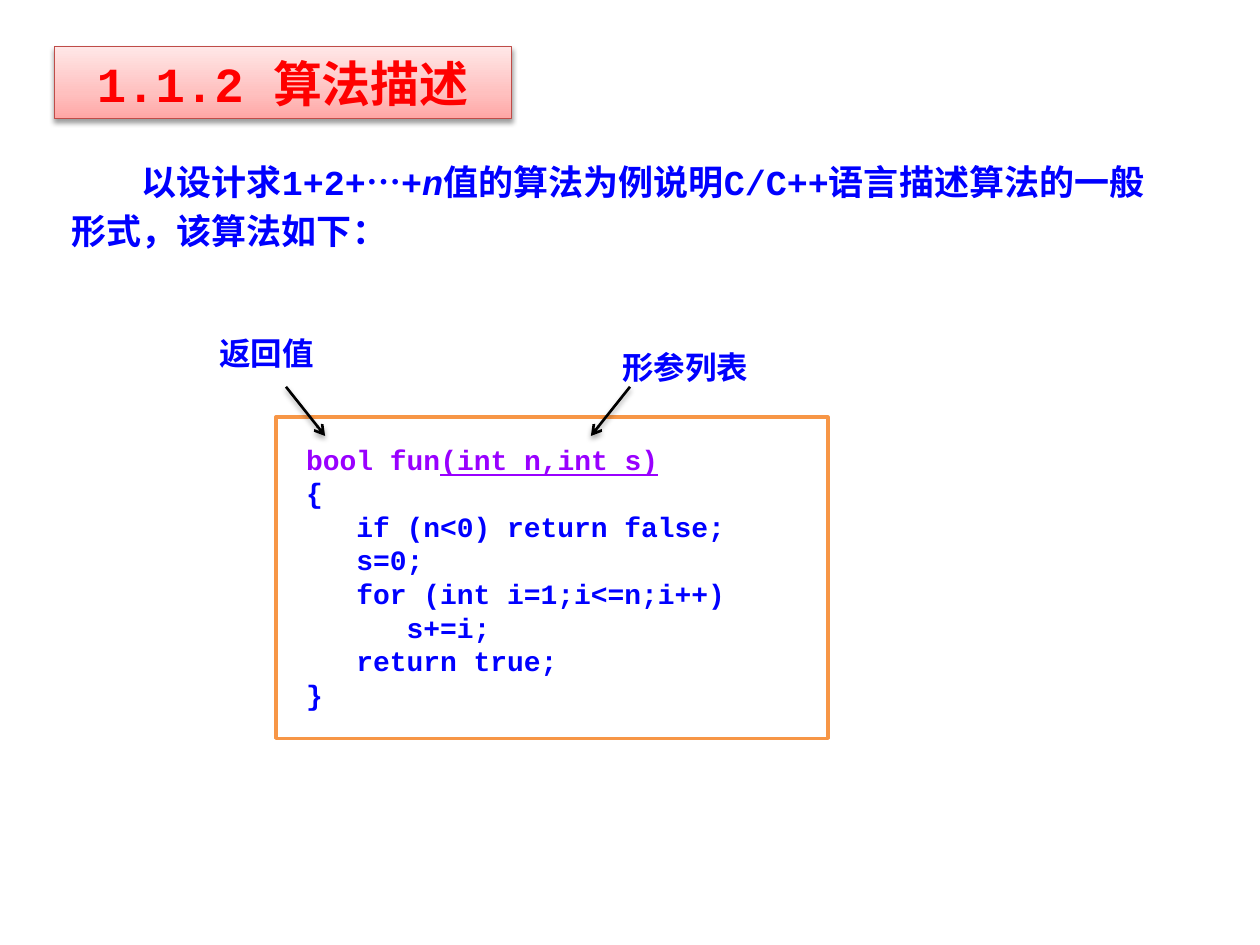
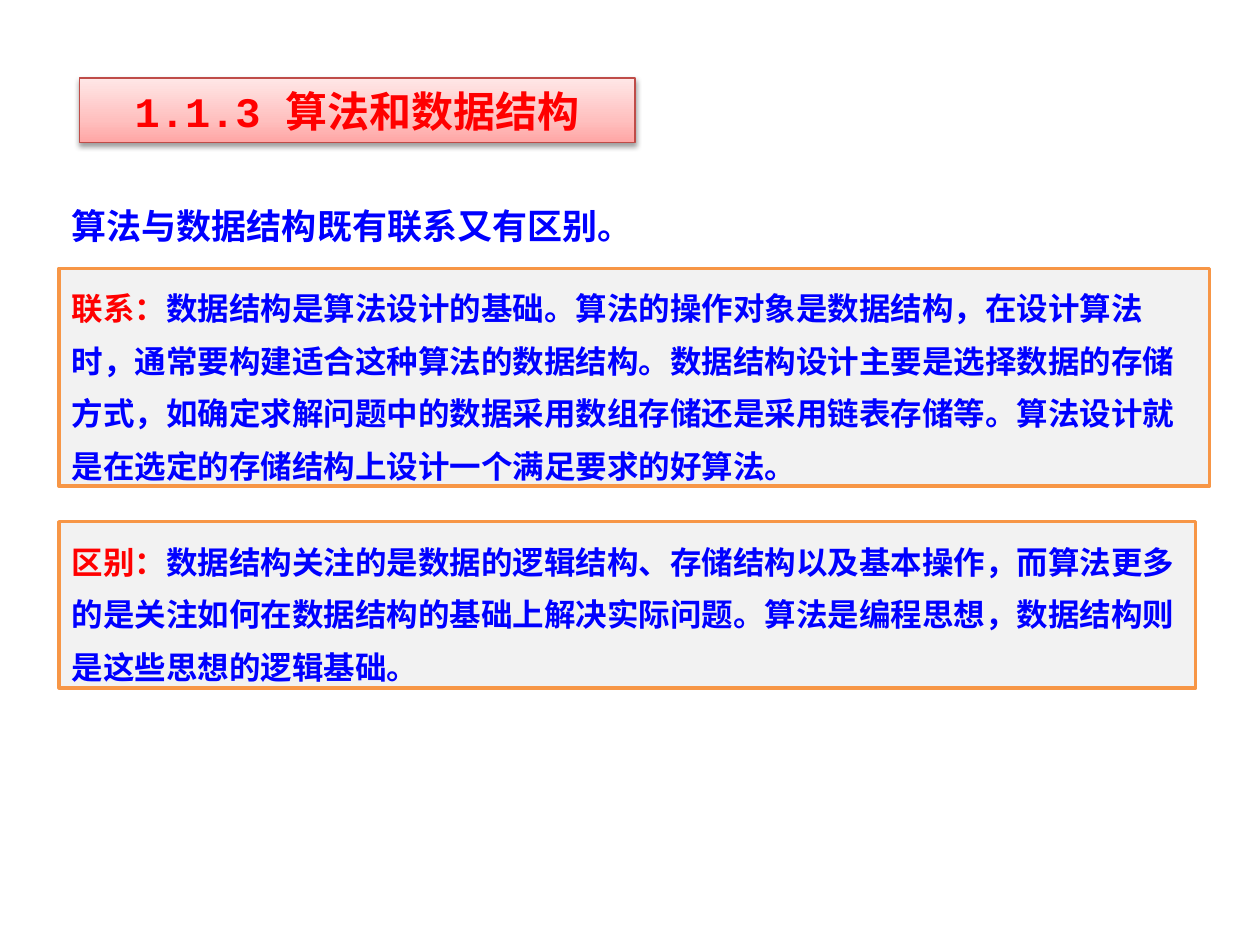
"""Build two slides on describing algorithms and on algorithms versus data structures."""
import copy

import lxml.etree
import pptx
import pptx.dml.color
import pptx.enum.shapes
import pptx.enum.text
import pptx.oxml.ns
import pptx.util

Inches = pptx.util.Inches
Pt = pptx.util.Pt
qn = pptx.oxml.ns.qn

RED, BLUE, PURPLE, BLACK = "FF0000", "0000FF", "9900FF", "000000"
WHITE, GREY, ORANGE = "FFFFFF", "F2F2F2", "F79646"
TITLE_LINE = "BF4C48"
TITLE_GRADIENT = ((0, "FFA6A5"), (0.35, "FFC0BF"), (1, "FFE7E7"))
CODE_FONT, SERIF_FONT, CHINESE_FONT = "Courier New", "Times New Roman", "Noto Sans CJK SC"

CODE_BODY = (
    "{",
    "   if (n<0) return false;",
    "   s=0;",
    "   for (int i=1;i<=n;i++)",
    "      s+=i;",
    "   return true;",
    "}",
)
CONNECTION = (
    "数据结构是算法设计的基础。算法的操作对象是数据结构，在设计算法时，"
    "通常要构建适合这种算法的数据结构。数据结构设计主要是选择数据的存储方式，"
    "如确定求解问题中的数据采用数组存储还是采用链表存储等。"
    "算法设计就是在选定的存储结构上设计一个满足要求的好算法。"
)
DIFFERENCE = (
    "数据结构关注的是数据的逻辑结构、存储结构以及基本操作，"
    "而算法更多的是关注如何在数据结构的基础上解决实际问题。"
    "算法是编程思想，数据结构则是这些思想的逻辑基础。"
)


def rgb(value):
    return pptx.dml.color.RGBColor.from_string(value)


def add_shadow(shape, distance, opacity):
    shape_properties = shape._element.spPr
    effects = lxml.etree.SubElement(shape_properties, qn("a:effectLst"))
    shadow = lxml.etree.SubElement(
        effects, qn("a:outerShdw"), blurRad=str(Pt(3.1)), dist=str(Pt(distance)),
        dir="5400000", rotWithShape="0")
    color = lxml.etree.SubElement(shadow, qn("a:srgbClr"), val=BLACK)
    lxml.etree.SubElement(color, qn("a:alpha"), val=str(opacity * 1000))


def fill_title_gradient(shape):
    shape.fill.gradient()
    shape.fill.gradient_angle = 90
    stop_list = shape._element.spPr.find(qn("a:gradFill")).find(qn("a:gsLst"))
    stop_list.append(copy.deepcopy(stop_list[0]))
    for stop, (position, color) in zip(shape.fill.gradient_stops, TITLE_GRADIENT):
        stop.position = position
        stop.color.rgb = rgb(color)


def set_line(shape, color, width):
    shape.line.color.rgb = rgb(color)
    shape.line.width = Pt(width)


def format_paragraph(paragraph, size, color, font=CODE_FONT):
    paragraph.font.name = font
    paragraph.font.size = Pt(size)
    paragraph.font.bold = True
    paragraph.font.color.rgb = rgb(color)
    defaults = paragraph._p.pPr.find(qn("a:defRPr"))
    lxml.etree.SubElement(defaults, qn("a:ea"), typeface=CHINESE_FONT)


def add_run(paragraph, text):
    run = paragraph.add_run()
    run.text = text
    return run


def prepare_frame(shape, anchor=pptx.enum.text.MSO_ANCHOR.TOP):
    frame = shape.text_frame
    frame.word_wrap = True
    frame.auto_size = pptx.enum.text.MSO_AUTO_SIZE.NONE
    frame.vertical_anchor = anchor
    return frame


def add_title_slide(presentation, text, box, size):
    slide = presentation.slides.add_slide(presentation.slide_layouts[5])
    title = slide.shapes.title
    title.left, title.top, title.width, title.height = map(Inches, box)
    fill_title_gradient(title)
    set_line(title, TITLE_LINE, 0.75)
    add_shadow(title, 1.6, 38)
    frame = prepare_frame(title, pptx.enum.text.MSO_ANCHOR.MIDDLE)
    paragraph = frame.paragraphs[0]
    paragraph.alignment = pptx.enum.text.PP_ALIGN.CENTER
    add_run(paragraph, text)
    format_paragraph(paragraph, size, RED)
    return slide


def add_text(slide, box, size, *texts, font=CODE_FONT):
    textbox = slide.shapes.add_textbox(*map(Inches, box))
    paragraph = prepare_frame(textbox).paragraphs[0]
    runs = [add_run(paragraph, text) for text in texts]
    format_paragraph(paragraph, size, BLUE, font)
    return paragraph, runs


def add_panel(slide, box, fill):
    panel = slide.shapes.add_shape(
        pptx.enum.shapes.MSO_SHAPE.RECTANGLE, *map(Inches, box))
    panel.shadow.inherit = False
    panel.fill.solid()
    panel.fill.fore_color.rgb = rgb(fill)
    set_line(panel, ORANGE, 2)
    return prepare_frame(panel)


def add_code(slide, box):
    frame = add_panel(slide, box, WHITE)
    frame.margin_left = Inches(0.24)
    frame.margin_top = frame.margin_bottom = Inches(0.2)
    signature = frame.paragraphs[0]
    add_run(signature, "bool fun")
    add_run(signature, "(int n,int s)").font.underline = True
    body = [frame.add_paragraph() for _ in CODE_BODY]
    for paragraph, line in zip(body, CODE_BODY):
        add_run(paragraph, line)
    for paragraph in (signature, *body):
        paragraph.alignment = pptx.enum.text.PP_ALIGN.LEFT
        format_paragraph(paragraph, 16, PURPLE if paragraph is signature else BLUE)


def add_arrow(slide, start, end):
    arrow = slide.shapes.add_connector(
        pptx.enum.shapes.MSO_CONNECTOR.STRAIGHT, *map(Inches, start + end))
    set_line(arrow, BLACK, 1.5)
    lxml.etree.SubElement(
        arrow._element.spPr.find(qn("a:ln")), qn("a:tailEnd"), type="arrow")
    add_shadow(arrow, 1.8, 35)


def add_explanation(slide, box, label, text):
    paragraph = add_panel(slide, box, GREY).paragraphs[0]
    paragraph.alignment = pptx.enum.text.PP_ALIGN.LEFT
    paragraph.line_spacing = Pt(30)
    paragraph._p.pPr.set("hangingPunct", "0")
    add_run(paragraph, label).font.color.rgb = rgb(RED)
    add_run(paragraph, text)
    format_paragraph(paragraph, 18, BLUE)


def build_description_slide(presentation):
    slide = add_title_slide(presentation, "1.1.2 算法描述", (0.43, 0.37, 3.63, 0.57), 28)
    paragraph, runs = add_text(
        slide, (0.47, 1.17, 8.9, 0.86), 20, "以设计求1+2+", "…", "+", "n",
        "值的算法为例说明C/C++语言描述算法的一般形式，该算法如下：")
    paragraph.line_spacing = Pt(28)
    paragraph._p.pPr.set("indent", str(Pt(40)))
    runs[1].font.name = CHINESE_FONT
    runs[3].font.italic = True
    add_code(slide, (2.19, 3.31, 4.38, 2.55))
    add_text(slide, (4.84, 2.71, 1.41, 0.4), 18, "形参列表")
    add_arrow(slide, (5, 3.07), (4.69, 3.46))
    add_text(slide, (1.64, 2.6, 1.25, 0.4), 18, "返回值")
    add_arrow(slide, (2.27, 3.07), (2.58, 3.46))


def build_comparison_slide(presentation):
    slide = add_title_slide(
        presentation, "1.1.3 算法和数据结构", (0.63, 0.62, 4.41, 0.51), 24)
    add_text(slide, (0.47, 1.57, 5.99, 0.44), 20,
             "算法与数据结构既有联系又有区别。", font=SERIF_FONT)
    add_explanation(slide, (0.47, 2.13, 9.13, 1.73), "联系：", CONNECTION)
    add_explanation(slide, (0.47, 4.14, 9.02, 1.32), "区别：", DIFFERENCE)


def main():
    presentation = pptx.Presentation()
    presentation.slide_width = Inches(10)
    presentation.slide_height = Inches(7.5)
    build_description_slide(presentation)
    build_comparison_slide(presentation)
    presentation.save("out.pptx")


if __name__ == "__main__":
    main()
